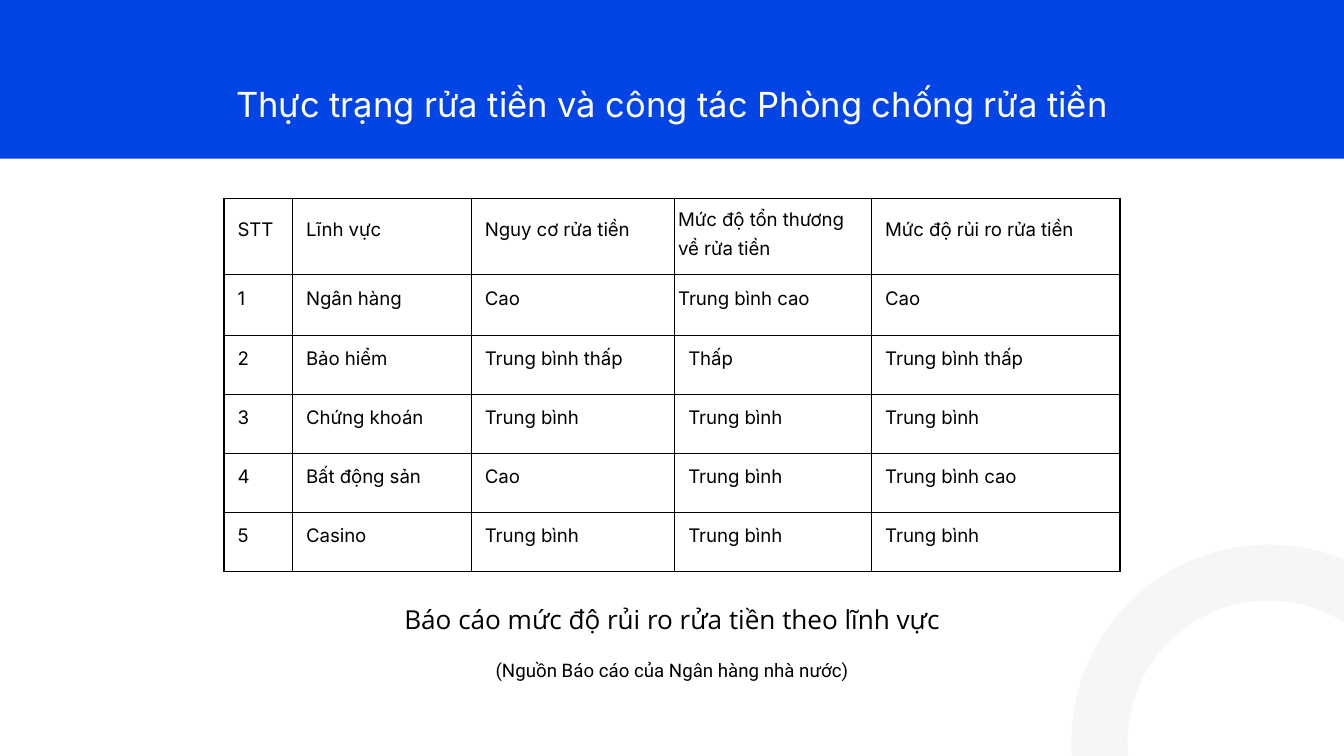
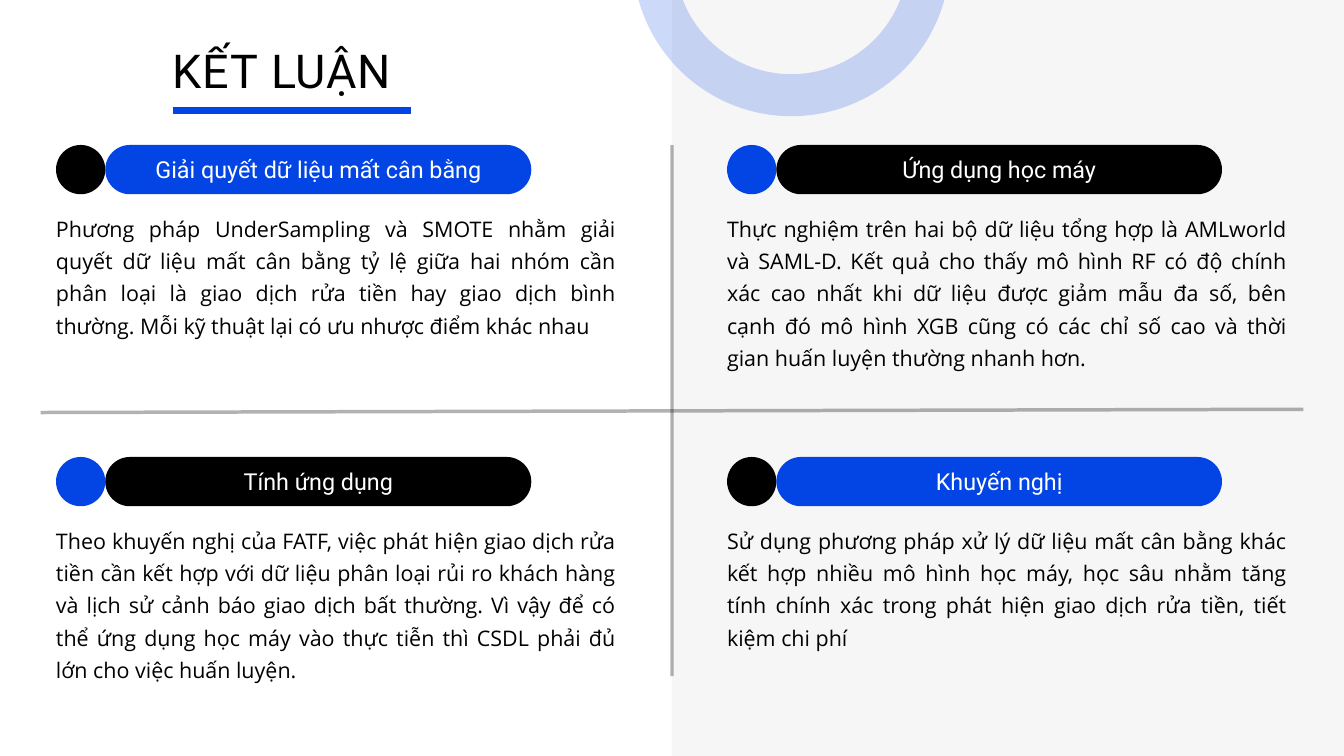
from pptx import Presentation
from pptx.dml.color import RGBColor
from pptx.enum.shapes import MSO_CONNECTOR as Connector, MSO_SHAPE as Preset
from pptx.enum.text import MSO_ANCHOR as Anchor, PP_ALIGN as Align
from pptx.oxml.ns import qn
from pptx.util import Pt
from lxml.etree import SubElement

# Shared style
WIDTH, HEIGHT = 1440, 810
BLUE, BLACK, WHITE, GREY = "0345E4", "000000", "FFFFFF", "F6F6F6"
SANS, BODY, HEAD = "Inter", "Open Sans", "Roboto"

# Slide 1: risk by sector
RISK_TITLE = "Thực trạng rửa tiền và công tác Phòng chống rửa tiền"
RISK_ROWS = [
    ("STT", "Lĩnh vực", "Nguy cơ rửa tiền", "Mức độ tổn thương về rửa tiền", "Mức độ rủi ro rửa tiền"),
    ("1", "Ngân hàng", "Cao", "Trung bình cao", "Cao"),
    ("2", "Bảo hiểm", "Trung bình thấp", "Thấp", "Trung bình thấp"),
    ("3", "Chứng khoán", "Trung bình", "Trung bình", "Trung bình"),
    ("4", "Bất động sản", "Cao", "Trung bình", "Trung bình cao"),
    ("5", "Casino", "Trung bình", "Trung bình", "Trung bình"),
]
COLUMN_WIDTHS = [73.5, 191.5, 218, 211, 266]
ROW_HEIGHTS = [82, 65.5] + [63.2] * 4
FLUSH_CELLS = {(0, 3), (1, 3)}
TABLE_CAPTION = "Báo cáo mức độ rủi ro rửa tiền theo lĩnh vực"
TABLE_SOURCE = "(Nguồn Báo cáo của Ngân hàng nhà nước)"

# Slide 2: conclusions, row by row
CONCLUSION_TITLE = "KẾT LUẬN"
CONCLUSIONS = [
    [("Giải quyết dữ liệu mất cân bằng",
      "Phương pháp UnderSampling và SMOTE nhằm giải quyết dữ liệu mất cân bằng tỷ lệ giữa hai nhóm "
      "cần phân loại là giao dịch rửa tiền hay giao dịch bình thường. Mỗi kỹ thuật lại có ưu nhược "
      "điểm khác nhau"),
     ("Ứng dụng học máy",
      "Thực nghiệm trên hai bộ dữ liệu tổng hợp là AMLworld và SAML-D. Kết quả cho thấy mô hình RF "
      "có độ chính xác cao nhất khi dữ liệu được giảm mẫu đa số, bên cạnh đó mô hình XGB cũng có "
      "các chỉ số cao và thời gian huấn luyện thường nhanh hơn.")],
    [("Tính ứng dụng",
      "Theo khuyến nghị của FATF, việc phát hiện giao dịch rửa tiền cần kết hợp với dữ liệu phân "
      "loại rủi ro khách hàng và lịch sử cảnh báo giao dịch bất thường. Vì vậy để có thể ứng dụng "
      "học máy vào thực tiễn thì CSDL phải đủ lớn cho việc huấn luyện."),
     ("Khuyến nghị",
      "Sử dụng phương pháp xử lý dữ liệu mất cân bằng khác kết hợp nhiều mô hình học máy, học sâu "
      "nhằm tăng tính chính xác trong phát hiện giao dịch rửa tiền, tiết kiệm chi phí")],
]
QUADRANT_TOPS = [155.3, 489.6]
QUADRANT_LEFTS = [60, 779]
PILL_WIDTHS = [456.5, 477.5]
DOT_SIZE = 52.8


def color(value):
    return RGBColor.from_string(value)


def set_alpha(shape, percent):
    for node in shape._element.iter(qn("a:srgbClr")):
        SubElement(node, qn("a:alpha"), val=str(percent * 1000))


def set_margins(frame, left, top, right, bottom):
    frame.margin_left, frame.margin_top = Pt(left), Pt(top)
    frame.margin_right, frame.margin_bottom = Pt(right), Pt(bottom)


def write(frame, text, font, size, ink, spacing, align=Align.LEFT, tracking=0):
    frame.word_wrap = True
    frame.text = text
    paragraph = frame.paragraphs[0]
    paragraph.alignment, paragraph.line_spacing = align, Pt(spacing)
    for run in paragraph.runs:
        run.font.name, run.font.size = font, Pt(size)
        run.font.color.rgb = color(ink)
        if tracking:
            run._r.get_or_add_rPr().set("spc", str(tracking))


def add_text(slide, left, top, width, height, *style, **options):
    box = slide.shapes.add_textbox(Pt(left), Pt(top), Pt(width), Pt(height))
    set_margins(box.text_frame, 0, 0, 0, 0)
    write(box.text_frame, *style, **options)


def add_filled(slide, preset, left, top, width, height, fill):
    shape = slide.shapes.add_shape(preset, Pt(left), Pt(top), Pt(width), Pt(height))
    shape.shadow.inherit = False
    shape.fill.solid()
    shape.fill.fore_color.rgb = color(fill)
    shape.line.fill.background()
    return shape


def add_ring(slide, left, top, size, stroke, weight, alpha=100):
    ring = slide.shapes.add_shape(Preset.OVAL, Pt(left), Pt(top), Pt(size), Pt(size))
    ring.shadow.inherit = False
    ring.fill.background()
    ring.line.color.rgb, ring.line.width = color(stroke), Pt(weight)
    if alpha < 100:
        set_alpha(ring, alpha)


def add_line(slide, x1, y1, x2, y2, stroke, weight, alpha=100):
    line = slide.shapes.add_connector(Connector.STRAIGHT, Pt(x1), Pt(y1), Pt(x2), Pt(y2))
    line.line.color.rgb, line.line.width = color(stroke), Pt(weight)
    SubElement(line._element.spPr, qn("a:effectLst"))
    if alpha < 100:
        set_alpha(line, alpha)


def set_borders(cell, stroke, weight):
    properties = cell._tc.get_or_add_tcPr()
    for index, side in enumerate(("a:lnL", "a:lnR", "a:lnT", "a:lnB")):
        border = SubElement(properties, qn(side), w=str(Pt(weight)))
        fill = SubElement(border, qn("a:solidFill"))
        SubElement(fill, qn("a:srgbClr"), val=stroke)
        properties.insert(index, border)


def add_risk_table(slide, left, top):
    frame = slide.shapes.add_table(len(RISK_ROWS), len(COLUMN_WIDTHS), Pt(left), Pt(top),
                                   Pt(sum(COLUMN_WIDTHS)), Pt(sum(ROW_HEIGHTS)))
    table = frame.table
    table.first_row = table.horz_banding = False
    for column, width in zip(table.columns, COLUMN_WIDTHS):
        column.width = Pt(width)
    for r, (row, texts) in enumerate(zip(table.rows, RISK_ROWS)):
        row.height = Pt(ROW_HEIGHTS[r])
        for c, (cell, text) in enumerate(zip(row.cells, texts)):
            two_lines = (r, c) == (0, 3)
            cell.fill.background()
            set_borders(cell, BLACK, 1.5)
            set_margins(cell, 3.6 if (r, c) in FLUSH_CELLS else 14.5, 3.6, 3.6, 3.6)
            cell.vertical_anchor = Anchor.TOP if two_lines else Anchor.MIDDLE
            write(cell.text_frame, text, SANS, 20, BLACK, 31 if two_lines else 10, tracking=-10)


def add_conclusion(slide, left, top, pill_width, dot_fill, pill_fill, heading, body):
    add_filled(slide, Preset.OVAL, left, top, DOT_SIZE, DOT_SIZE, dot_fill)
    pill = add_filled(slide, Preset.ROUNDED_RECTANGLE, left + DOT_SIZE, top,
                      pill_width, DOT_SIZE, pill_fill)
    pill.adjustments[0] = 0.5
    frame = pill.text_frame
    set_margins(frame, 4, 4, 4, 10)
    frame.vertical_anchor = Anchor.MIDDLE
    write(frame, heading, HEAD, 25, WHITE, 35, align=Align.CENTER)
    add_text(slide, left, top + 69.3, 600.5, 34.5 * 5, body, BODY, 23, BLACK, 34.5,
             align=Align.JUSTIFY)


def build_risk_slide(slide):
    add_filled(slide, Preset.RECTANGLE, 0, 0, WIDTH, 170, BLUE)
    add_ring(slide, 1178, 613.5, 362, GREY, 60)
    add_risk_table(slide, 240, 212.4)
    # Centred lines: top, width, height, then style
    for top, width, height, *style in [
        (75.6, 1028, 55, RISK_TITLE, SANS, 37, WHITE, 57.3),
        (636.5, 620, 40, TABLE_CAPTION, BODY, 28, BLACK, 43.4),
        (699, 530, 30, TABLE_SOURCE, HEAD, 20, BLACK, 31),
    ]:
        add_text(slide, (WIDTH - width) / 2, top, width, height, *style, align=Align.CENTER)


def build_conclusion_slide(slide):
    add_filled(slide, Preset.RECTANGLE, WIDTH / 2, 0, WIDTH / 2, HEIGHT, GREY)
    # Cross lines and title underline
    add_line(slide, 43.5, 442, 1396.5, 438.5, BLACK, 3.75, 30)
    add_line(slide, WIDTH / 2, 155.5, WIDTH / 2, 724.5, BLACK, 3.75, 30)
    add_line(slide, 185, 118, 440.5, 118, BLUE, 7.5)
    # Four conclusions, colours alternating like a checkerboard
    for r, (top, row) in enumerate(zip(QUADRANT_TOPS, CONCLUSIONS)):
        for c, (heading, body) in enumerate(row):
            dot_fill, pill_fill = (BLUE, BLACK) if (r + c) % 2 else (BLACK, BLUE)
            add_conclusion(slide, QUADRANT_LEFTS[c], top, PILL_WIDTHS[c],
                           dot_fill, pill_fill, heading, body)
    add_ring(slide, 700.5, -193, 295, BLUE, 45, 20)
    add_text(slide, 185, 34.5, 276.5, 65, CONCLUSION_TITLE, HEAD, 50, BLACK, 70, tracking=100)


def main():
    presentation = Presentation()
    presentation.slide_width, presentation.slide_height = Pt(WIDTH), Pt(HEIGHT)
    blank = presentation.slide_layouts[6]
    for build in (build_risk_slide, build_conclusion_slide):
        build(presentation.slides.add_slide(blank))
    presentation.save("out.pptx")


if __name__ == "__main__":
    main()
